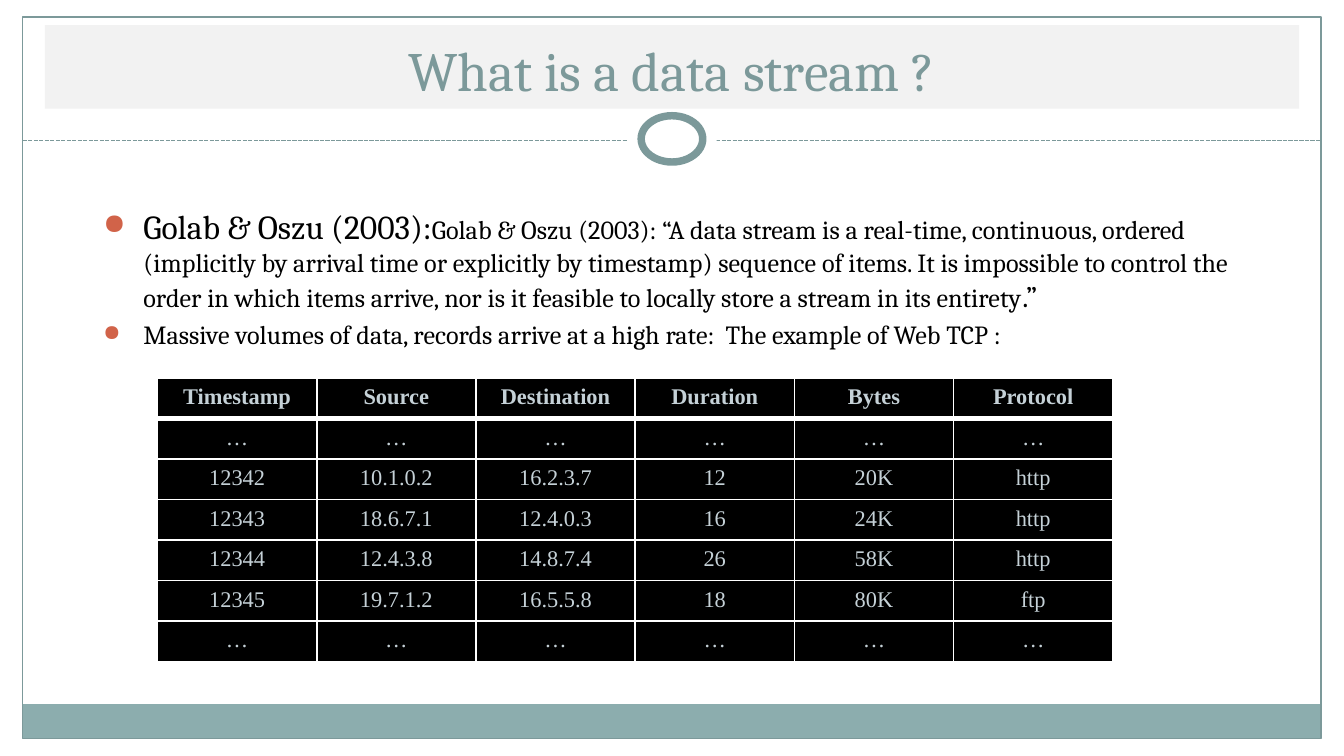
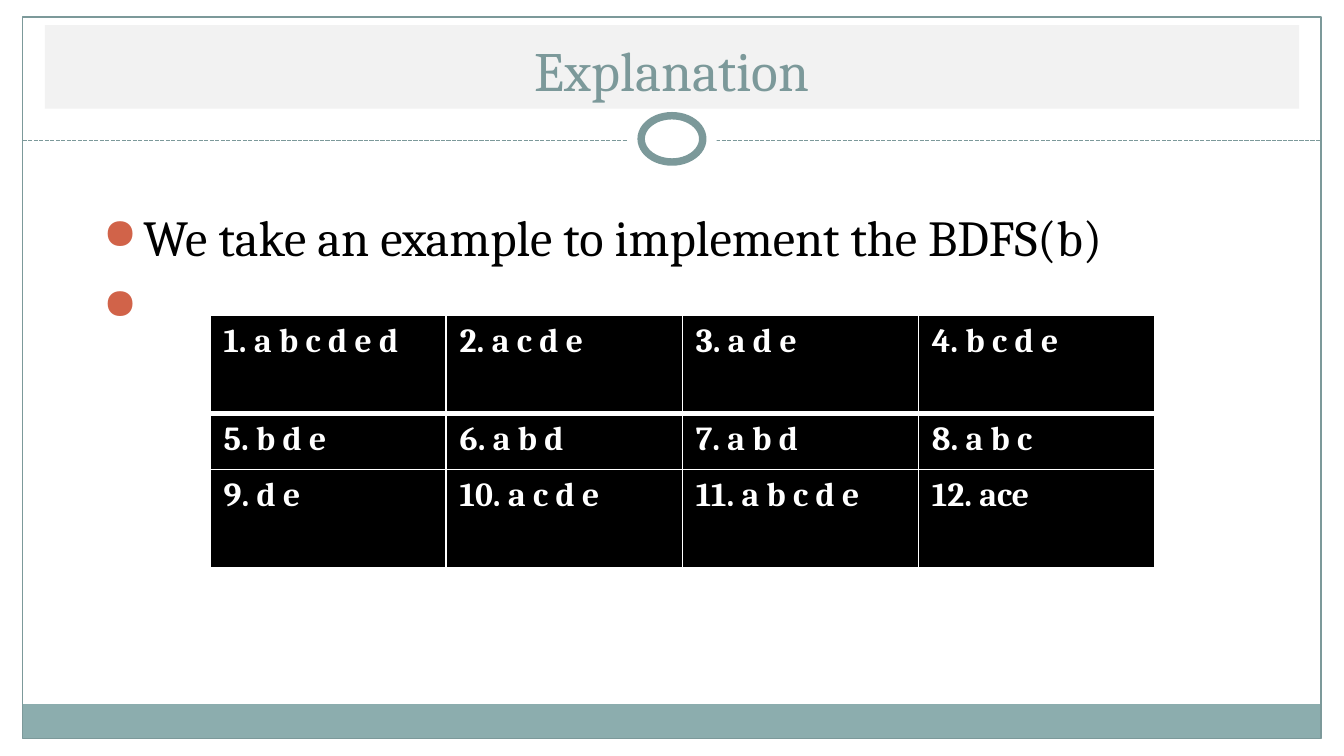
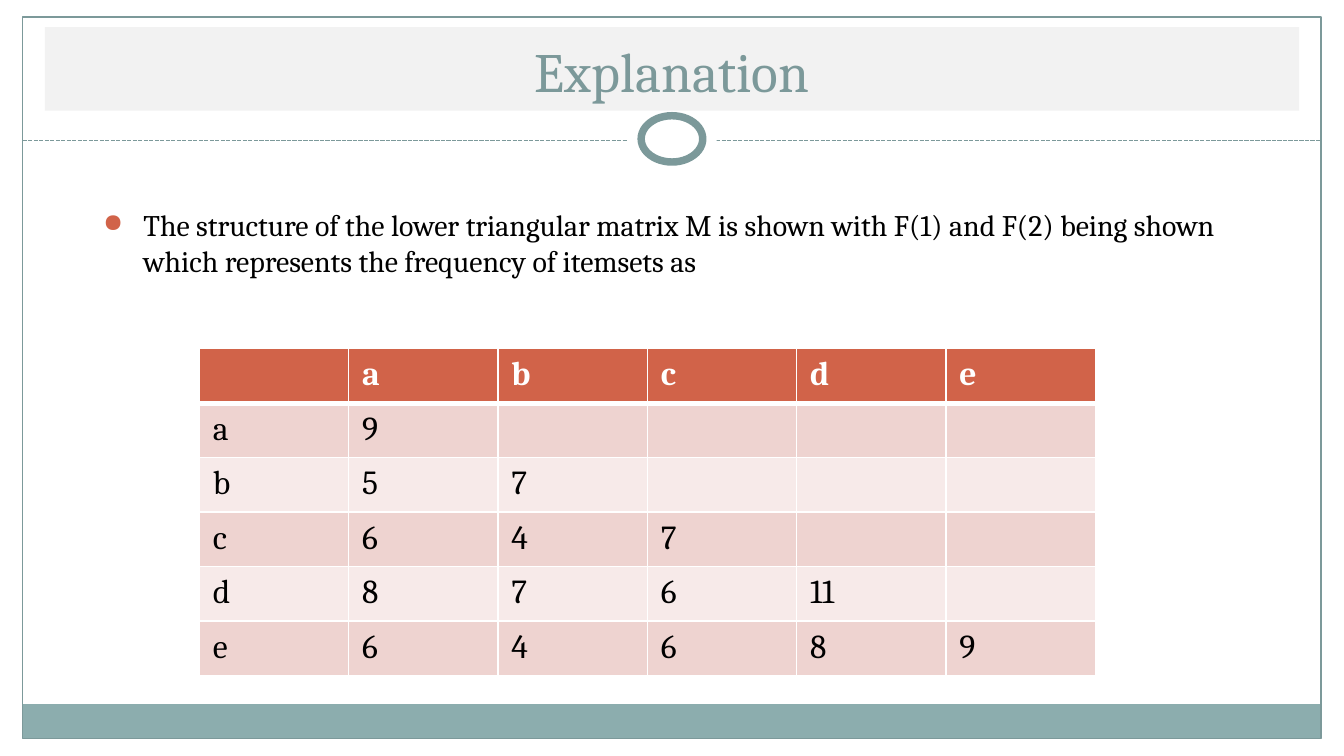
from lxml.etree import SubElement as Sub
from pptx import Presentation
from pptx.dml.color import RGBColor as RGB
from pptx.enum.dml import MSO_LINE as Dash
from pptx.enum.shapes import MSO_CONNECTOR as Link, MSO_SHAPE as Kind
from pptx.enum.text import MSO_ANCHOR as Anchor, PP_ALIGN as Align
from pptx.oxml.ns import qn
from pptx.util import Pt

# Shared look
WIDE, HIGH = 720, 405
WHITE, BLACK = "FFFFFF", "000000"
TEAL, BAND, PANEL = "7C999A", "8CADAE", "F2F2F2"
RUST, ROSE, BLUSH, MIST = "D16349", "EED3D0", "F7EAE9", "C5D1D7"
SERIF, TIMES = "Cambria", "Times New Roman"
EDGE = 12.2  # frame margin at left and right


def tint(code):
    return RGB.from_string(code)


def style(run, size, color=BLACK, face=SERIF, bold=False):
    font = run.font
    font.size, font.name, font.bold = Pt(size), face, bold
    font.color.rgb = tint(color)


def shape(slide, kind, box, fill=None, line=None, width=0.75):
    item = slide.shapes.add_shape(kind, *map(Pt, box))
    item.shadow.inherit = False
    if fill:
        item.fill.solid()
        item.fill.fore_color.rgb = tint(fill)
    else:
        item.fill.background()
    if line:
        item.line.color.rgb = tint(line)
        item.line.width = Pt(width)
    else:
        item.line.fill.background()
    return item


def rule(slide, y):
    item = slide.shapes.add_connector(
        Link.STRAIGHT, Pt(EDGE), Pt(y), Pt(WIDE - EDGE), Pt(y))
    item.line.color.rgb = tint(TEAL)
    item.line.width = Pt(0.75)
    item.line.dash_style = Dash.SQUARE_DOT
    Sub(item._element.spPr, qn("a:effectLst"))


def ring(slide, y, wide, high, line=None):
    box = ((WIDE - wide) / 2, y, wide, high)
    shape(slide, Kind.OVAL, box, WHITE, line, 4)


def title(slide, text, y):
    item = shape(slide, Kind.RECTANGLE, (24, y, WIDE - 48, 44.8), PANEL)
    frame = item.text_frame
    frame.word_wrap = True
    frame.vertical_anchor = Anchor.BOTTOM
    frame.text = text
    para = frame.paragraphs[0]
    para.alignment = Align.CENTER
    style(para.runs[0], 29.7, TEAL)


def page(deck, text, y=13.5):
    """Add a slide with the frame, band, ring and title."""
    slide = deck.slides.add_slide(deck.slide_layouts[6])
    inner = WIDE - 2 * EDGE
    shape(slide, Kind.RECTANGLE, (EDGE, 377.2, inner, 18.2), BAND)
    shape(slide, Kind.RECTANGLE, (EDGE, 9.2, inner, 386.6), None, TEAL)
    rule(slide, 75.4)
    ring(slide, 56.2, 48, 36)
    ring(slide, 62, 33, 24.8, TEAL)
    title(slide, text, y)
    return slide


def bullet(para):
    props = para._p.get_or_add_pPr()
    props.set("marL", str(Pt(21.6)))
    props.set("indent", str(-Pt(21.6)))
    gap = Sub(props, qn("a:spcBef"))
    Sub(gap, qn("a:spcPct"), val="20000")
    color = Sub(props, qn("a:buClr"))
    Sub(color, qn("a:srgbClr"), val=RUST)
    Sub(props, qn("a:buSzPct"), val="85000")
    Sub(props, qn("a:buChar"), char="●")


def body(slide, items, y=106.8):
    """Write bullets; each is a list of (text, size) parts."""
    box = slide.shapes.add_textbox(Pt(48.2), Pt(y), Pt(642), Pt(258))
    frame = box.text_frame
    frame.word_wrap = True
    for i, parts in enumerate(items):
        para = frame.add_paragraph() if i else frame.paragraphs[0]
        bullet(para)
        for text, size in parts:
            run = para.add_run()
            run.text = text
            style(run, size)


def border(cell, row):
    """White lines, with a heavy one below the head row."""
    props = cell._tc.get_or_add_tcPr()
    heavy = {(0, "B"), (1, "T")}
    for side in "LRTB":
        width = 3 if (row, side) in heavy else 1
        line = Sub(props, qn("a:ln" + side), w=str(Pt(width)))
        fill = Sub(line, qn("a:solidFill"))
        Sub(fill, qn("a:srgbClr"), val=WHITE)


def grid(slide, left, top, col, highs, rows, fills, size, inks,
         face=SERIF, bolds=(True, False), align=Align.LEFT):
    """Draw a table; inks and bolds hold the head's and the body's value."""
    count = len(rows[0])
    table = slide.shapes.add_table(
        len(rows), count, Pt(left), Pt(top),
        Pt(col * count), Pt(sum(highs))).table
    table.first_row = table.horz_banding = False
    for item in table.columns:
        item.width = Pt(col)
    for r, texts in enumerate(rows):
        table.rows[r].height = Pt(highs[r])
        part = min(r, 1)
        for c, text in enumerate(texts):
            cell = table.cell(r, c)
            border(cell, r)
            cell.fill.solid()
            cell.fill.fore_color.rgb = tint(fills[r])
            cell.text = text
            para = cell.text_frame.paragraphs[0]
            para.alignment = align
            for run in para.runs:
                style(run, size, inks[part], face, bolds[part])


def stream(deck):
    slide = page(deck, "What is a data stream ?")
    body(slide, [
        [("Golab & Oszu (2003):", 18),
         ("Golab & Oszu (2003): “A data stream is a real-time, continuous, "
          "ordered (implicitly by arrival time or explicitly by timestamp) "
          "sequence of items. It is impossible to control the order in which "
          "items arrive, nor is it feasible to locally store a stream in its "
          "entirety", 14),
         (".” ", 16)],
        [("Massive volumes of data, records arrive at a high rate:  "
          "The example of Web TCP :", 14)],
    ])
    dots = ["…"] * 6
    rows = [
        ["Timestamp", "Source", "Destination", "Duration", "Bytes", "Protocol"],
        dots,
        ["12342", "10.1.0.2", "16.2.3.7", "12", "20K", "http"],
        ["12343", "18.6.7.1", "12.4.0.3", "16", "24K", "http"],
        ["12344", "12.4.3.8", "14.8.7.4", "26", "58K", "http"],
        ["12345", "19.7.1.2", "16.5.5.8", "18", "80K", "ftp"],
        dots,
    ]
    grid(slide, 84.4, 202.6, 85.3, [21.7] * 7, rows, [BLACK] * 7, 12,
         (MIST, MIST), TIMES, align=Align.CENTER)


def sample(deck):
    slide = page(deck, "Explanation")
    # The second bullet shows its mark only
    body(slide, [
        [("We take an example to implement the BDFS(b)", 27)],
        [(" ", 27)],
    ])
    rows = [
        ["1. a b c d e d", "2. a c d e ", "3. a d e ", "4. b c d e"],
        ["5. b d e ", "6. a b d ", "7. a b d ", "8. a b c "],
        ["9. d e ", "10. a c d e ", "11. a b c d e ", "12. ace"],
    ]
    grid(slide, 112.6, 168.8, 126.5, [52.5, 30.2, 52.5], rows, [BLACK] * 3,
         18, (WHITE, WHITE), bolds=(True, True))


def matrix(deck):
    slide = page(deck, "Explanation", 14.5)
    body(slide, [[
        ("The structure of the lower triangular matrix M is shown with F(1) "
         "and F(2) being shown  which represents the frequency of itemsets "
         "as ", 16)]], 107.3)
    keys = "abcde"
    lower = [[9], [5, 7], [6, 4, 7], [8, 7, 6, 11], [6, 4, 6, 8, 9]]
    rows = [["", *keys]]
    for key, nums in zip(keys, lower):
        rows.append([key, *map(str, nums), *[""] * (len(keys) - len(nums))])
    fills = [RUST, ROSE, BLUSH, ROSE, BLUSH, ROSE]
    grid(slide, 106.8, 186.8, 80, [29.2] * 6, rows, fills, 18, (WHITE, BLACK))


def main():
    deck = Presentation()
    deck.slide_width, deck.slide_height = Pt(WIDE), Pt(HIGH)
    stream(deck)
    sample(deck)
    matrix(deck)
    deck.save("out.pptx")


main()
